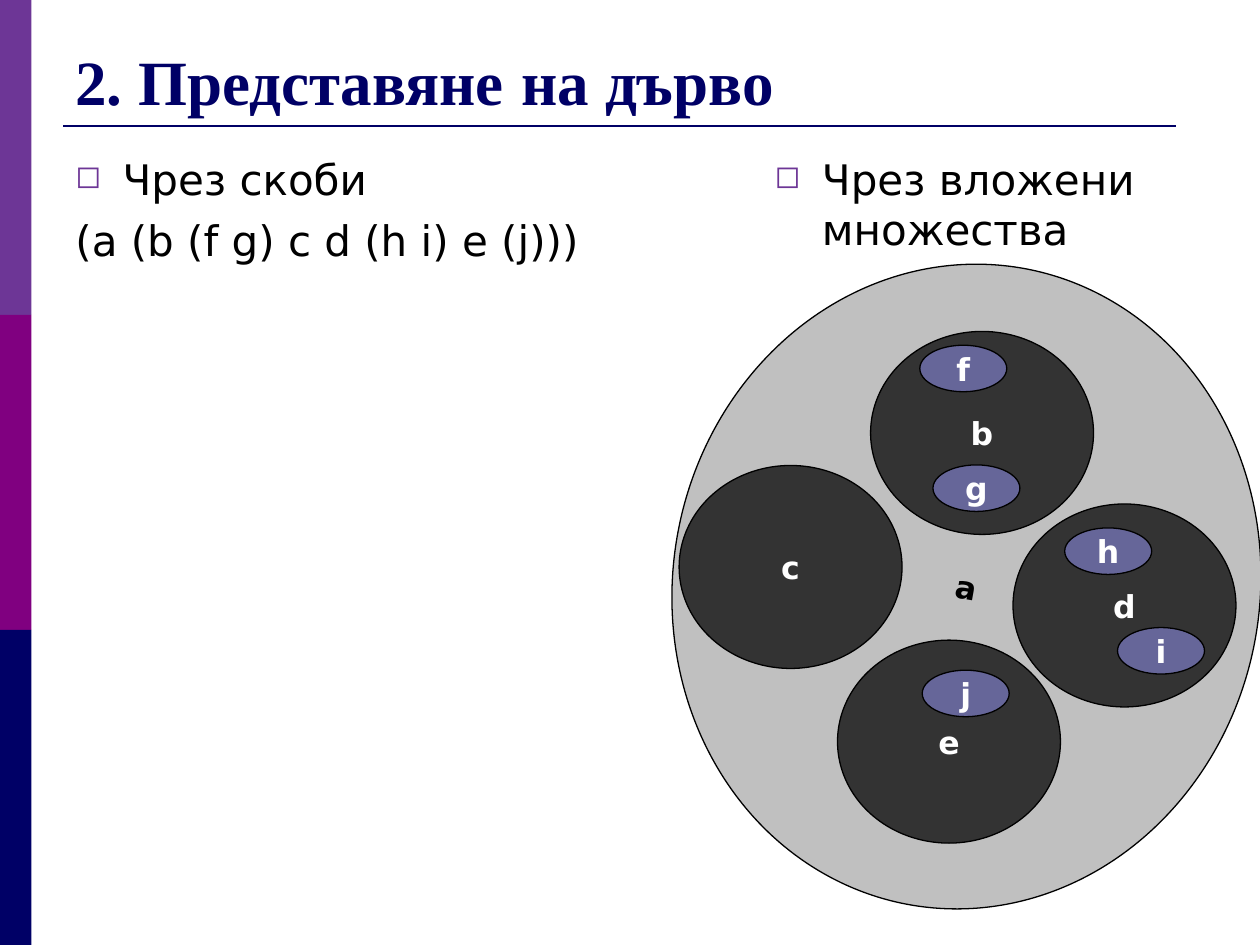
from lxml import etree
from pptx import Presentation
from pptx.dml.color import RGBColor
from pptx.enum.shapes import MSO_CONNECTOR, MSO_SHAPE
from pptx.enum.text import MSO_ANCHOR, PP_ALIGN
from pptx.oxml.ns import qn
from pptx.util import Pt

RECT, OVAL = MSO_SHAPE.RECTANGLE, MSO_SHAPE.OVAL
STRAIGHT = MSO_CONNECTOR.STRAIGHT
TOP, MIDDLE, BOTTOM = MSO_ANCHOR.TOP, MSO_ANCHOR.MIDDLE, MSO_ANCHOR.BOTTOM
CENTER = PP_ALIGN.CENTER

NAVY = RGBColor(0x00, 0x00, 0x66)
PURPLE = RGBColor(0x6D, 0x36, 0x96)
MAGENTA = RGBColor(0x80, 0x00, 0x80)
BLACK = RGBColor(0x00, 0x00, 0x00)
WHITE = RGBColor(0xFF, 0xFF, 0xFF)
SILVER = RGBColor(0xC0, 0xC0, 0xC0)
CHARCOAL = RGBColor(0x33, 0x33, 0x33)
SLATE = RGBColor(0x66, 0x66, 0x99)

BODY_FONT, TITLE_FONT = "DejaVu Sans", "Times New Roman"
INDENT = 27
CHILD_SIZE = (127.4, 116)
LEAF_SIZE = (49.7, 26.6)

# Each child set: name, left, top, and its leaves given the same way
CHILD_SETS = [
    ("b", 497.5, 189.4, [("f", 525.6, 197.3), ("g", 533.1, 265.7)]),
    ("d", 578.9, 288, [("h", 608.4, 301.7), ("i", 638.6, 358.6)]),
    ("c", 388.1, 266, []),
    ("e", 478.6, 365.8, [("j", 527, 383)]),
]


def style_font(font, name, size, color, bold=False):
    font.name, font.size, font.bold = name, Pt(size), bold
    font.color.rgb = color


def add_text_frame(slide, left, top, width, height, anchor=TOP):
    tb = slide.shapes.add_textbox(Pt(left), Pt(top), Pt(width), Pt(height))
    tf = tb.text_frame
    tf.word_wrap = True
    tf.vertical_anchor = anchor
    return tf


def add_sidebar(slide):
    for i, color in enumerate((PURPLE, MAGENTA, NAVY)):
        sp = slide.shapes.add_shape(RECT, 0, Pt(180 * i), Pt(18), Pt(180))
        sp.shadow.inherit = False
        sp.fill.solid()
        sp.fill.fore_color.rgb = color
        sp.line.fill.background()


def add_title(slide):
    line = slide.shapes.add_connector(STRAIGHT, Pt(36), Pt(72), Pt(672), Pt(72))
    line.line.color.rgb = NAVY
    line.line.width = Pt(1.5)
    etree.SubElement(line._element.spPr, qn("a:effectLst"))
    p = add_text_frame(slide, 36, 21.6, 648, 50.4, BOTTOM).paragraphs[0]
    for text, size in (("2. Представяне", 36), (" ", 40), ("на дърво", 36)):
        r = p.add_run()
        r.text = text
        style_font(r.font, TITLE_FONT, size, NAVY, bold=True)


def set_hanging_bullet(p):
    pPr = p._p.get_or_add_pPr()
    pPr.set("marL", str(Pt(INDENT)))
    pPr.set("indent", str(-Pt(INDENT)))
    color = etree.SubElement(pPr, qn("a:buClr"))
    etree.SubElement(color, qn("a:srgbClr"), val=str(PURPLE))
    etree.SubElement(pPr, qn("a:buSzPct"), val="75000")
    etree.SubElement(pPr, qn("a:buChar"), char="◻")


def add_body(slide, left, width, heading, *lines):
    """Add a column with a bulleted heading and plain lines below it."""
    tf = add_text_frame(slide, left, 84.2, width, 432)
    tf.text = "\n".join((heading, *lines))
    set_hanging_bullet(tf.paragraphs[0])
    for p in tf.paragraphs[1:]:
        p.space_before = Pt(6)
    for p in tf.paragraphs:
        style_font(p.runs[0].font, BODY_FONT, 24, BLACK)


def add_set(shapes, name, left, top, size, fill, color=WHITE):
    sp = shapes.add_shape(OVAL, Pt(left), Pt(top), Pt(size[0]), Pt(size[1]))
    sp.shadow.inherit = False
    sp.fill.solid()
    sp.fill.fore_color.rgb = fill
    sp.line.color.rgb = BLACK
    sp.line.width = Pt(0.75)
    tf = sp.text_frame
    tf.text = name
    tf.word_wrap = False
    tf.vertical_anchor = MIDDLE
    p = tf.paragraphs[0]
    p.alignment = CENTER
    style_font(p.runs[0].font, BODY_FONT, 18, color, bold=True)
    return sp


def add_nested_sets(slide):
    root = add_set(slide.shapes, "a", 384.5, 150.5, (335.5, 369.4), SILVER, BLACK)
    root.rotation = 10.1
    group = slide.shapes.add_group_shape()
    for name, left, top, leaves in CHILD_SETS:
        add_set(group.shapes, name, left, top, CHILD_SIZE, CHARCOAL)
        for leaf in leaves:
            add_set(group.shapes, *leaf, LEAF_SIZE, SLATE)


def main():
    prs = Presentation()
    prs.slide_width, prs.slide_height = Pt(720), Pt(540)
    slide = prs.slides.add_slide(prs.slide_layouts[6])
    add_sidebar(slide)
    add_title(slide)
    add_body(slide, 435.6, 248.4, "Чрез вложени множества")
    add_nested_sets(slide)
    add_body(slide, 36, 354.2, "Чрез скоби", "(a (b (f g) c d (h i) e (j)))")
    prs.save("out.pptx")


if __name__ == "__main__":
    main()
